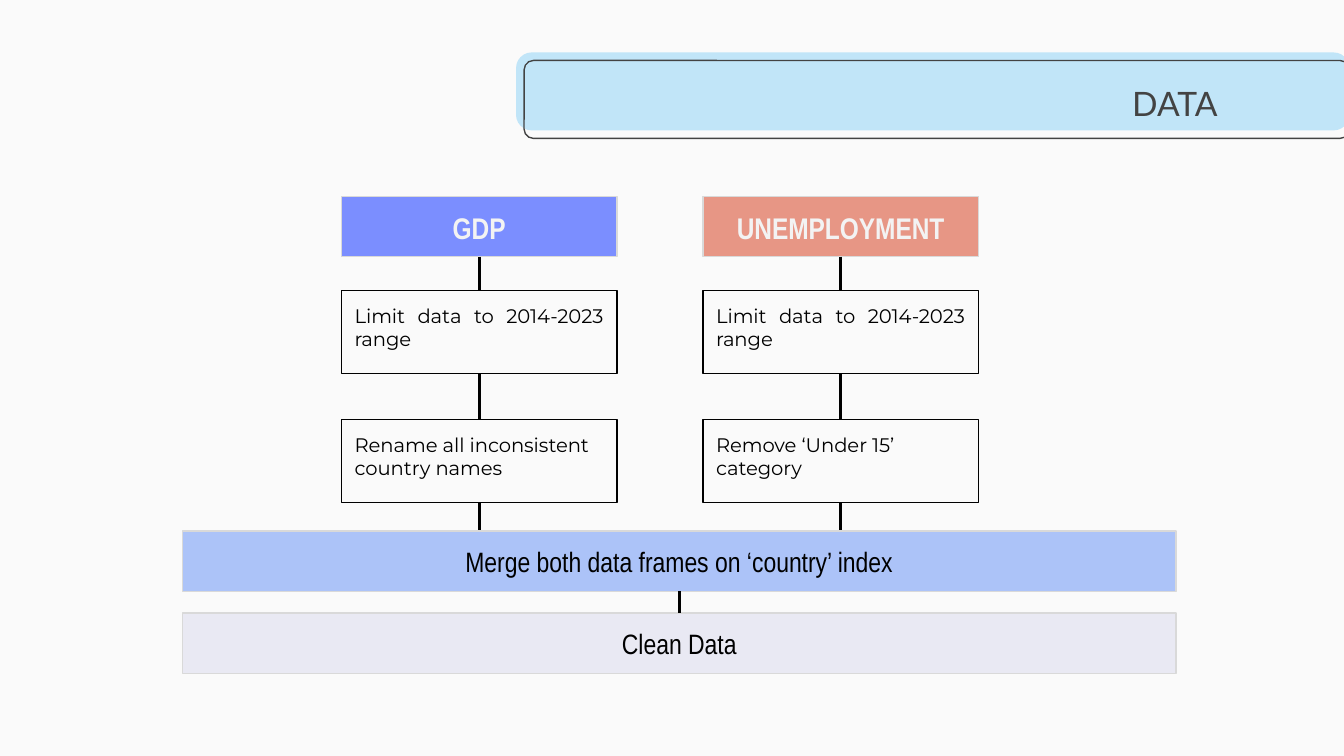
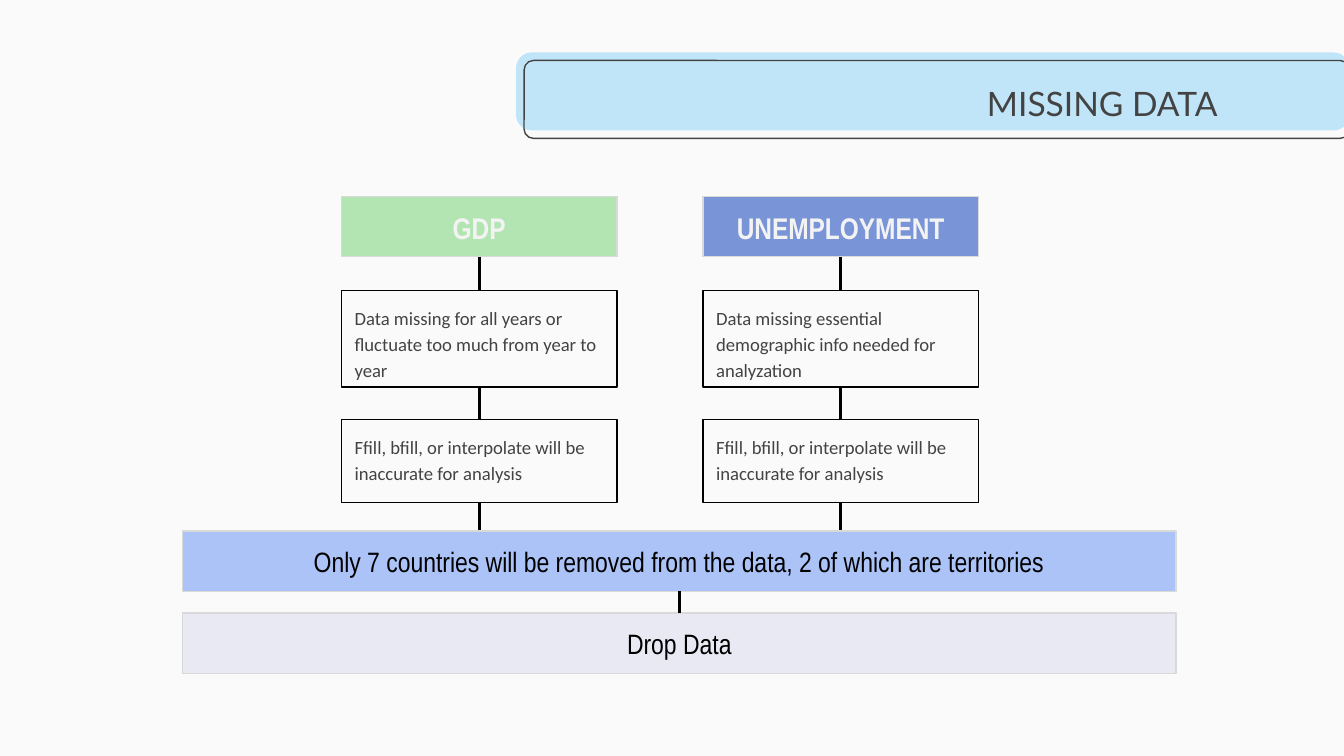
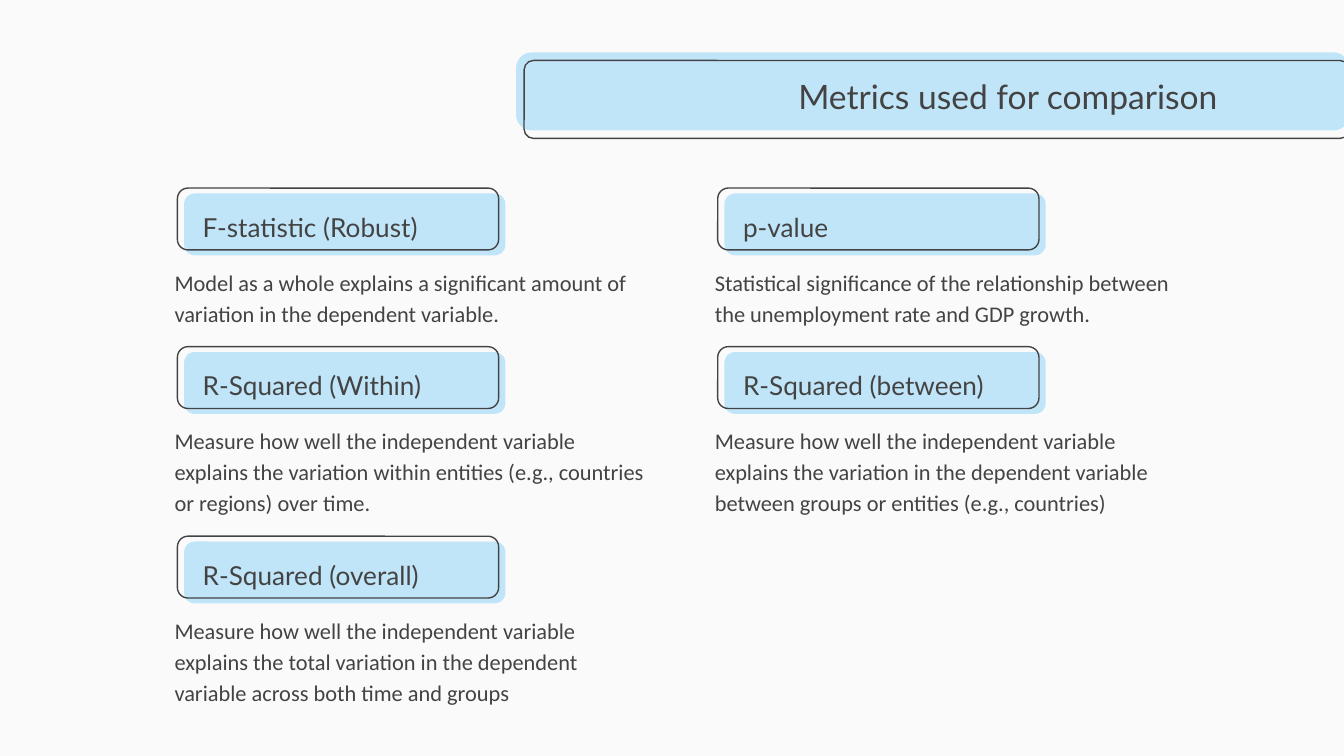
from dataclasses import dataclass

from lxml import etree
from pptx import Presentation
from pptx.dml.color import RGBColor
from pptx.enum import shapes as kinds, text as txt
from pptx.oxml import ns
from pptx.util import Inches, Pt

LEFT, CENTER = txt.PP_ALIGN.LEFT, txt.PP_ALIGN.CENTER
RIGHT, JUSTIFY = txt.PP_ALIGN.RIGHT, txt.PP_ALIGN.JUSTIFY
RECT, ROUNDED = kinds.MSO_SHAPE.RECTANGLE, kinds.MSO_SHAPE.ROUNDED_RECTANGLE


@dataclass(frozen=True)
class TextStyle:
    font: str
    size: float
    color: str
    bold: bool = False
    spacing: float = 1.0
    after: float = 0


class Theme:
    background = "FAFAFA"
    sky = "C1E5F8"
    ink = "434343"
    black = "000000"
    border = "D9D9D9"
    merge = "ACC3F8"
    result = "E9E9F3"
    thin, link = 0.75, 1.5
    title = TextStyle("Lato", 18, ink)
    card_title = TextStyle("Lato", 14, ink)
    card_body = TextStyle("Calibri", 12, ink, spacing=1.15, after=16)
    header = TextStyle("Arial Narrow", 16, "F3F3F3", bold=True)
    bar = TextStyle("Arial Narrow", 15, black)
    step = TextStyle("Montserrat", 10.5, black)
    reason = TextStyle("Calibri", 10, ink, spacing=1.15, after=16)


# Shared helpers
def rgb(value):
    return RGBColor.from_string(value)


def write(shape, content, style, align=LEFT, anchor=txt.MSO_ANCHOR.TOP):
    frame = shape.text_frame
    frame.text = content
    frame.word_wrap = True
    frame.auto_size = txt.MSO_AUTO_SIZE.NONE
    frame.vertical_anchor = anchor
    frame.margin_left = frame.margin_right = Inches(0.1)
    frame.margin_top = frame.margin_bottom = Inches(0.1)
    paragraph = frame.paragraphs[0]
    paragraph.alignment = align
    paragraph.line_spacing = style.spacing
    paragraph.space_after = Pt(style.after)
    font = paragraph.runs[0].font
    font.name, font.size, font.bold = style.font, Pt(style.size), style.bold
    font.color.rgb = rgb(style.color)


def add_panel(parts, kind, box, fill=None, line=None, radius=None):
    panel = parts.add_shape(kind, *map(Inches, box))
    panel.shadow.inherit = False
    if fill:
        panel.fill.solid()
        panel.fill.fore_color.rgb = rgb(fill)
    else:
        panel.fill.background()
    if line:
        panel.line.color.rgb = rgb(line)
        panel.line.width = Pt(Theme.thin)
    else:
        panel.line.fill.background()
    if radius:
        panel.adjustments[0] = radius
    return panel


def add_text(parts, box, content, style):
    write(parts.add_textbox(*map(Inches, box)), content, style)


def add_link(parts, x, top, bottom):
    link = parts.add_connector(kinds.MSO_CONNECTOR.STRAIGHT,
                               *map(Inches, (x, top, x, bottom)))
    link.line.color.rgb = rgb(Theme.black)
    link.line.width = Pt(Theme.link)
    etree.SubElement(link.element.spPr, ns.qn("a:effectLst"))


# Title band, moved to the layout so that every slide shows it
def add_band(slide):
    tint = add_panel(slide.shapes, ROUNDED, (3.84, 0.39, 6.2, 0.58),
                     fill=Theme.sky, radius=0.2)
    outline = add_panel(slide.shapes, ROUNDED, (3.9, 0.45, 6.14, 0.58),
                        line=Theme.ink, radius=0.12)
    layout_tree = slide.slide_layout.shapes.element
    for position, part in enumerate((tint, outline), start=2):
        layout_tree.insert(position, part.element)


def add_title(slide, content, top, width):
    title = slide.shapes.title
    title.left, title.top = Inches(9.16 - width), Inches(top)
    title.width, title.height = Inches(width), Inches(0.53)
    write(title, content, Theme.title, RIGHT, txt.MSO_ANCHOR.MIDDLE)


# Flow slides: two columns of steps that meet in two bars
def add_column(slide, box, column, first_height, style, first_align):
    left, top, width, bottom = box
    heading, color, steps = column
    parts = slide.shapes.add_group_shape().shapes
    header = add_panel(parts, RECT, (left, top, width, 0.45), color, Theme.border)
    write(header, heading, Theme.header, CENTER)

    link_top = top + 0.45
    places = ((0.7, first_height, first_align), (1.66, 0.62, LEFT))
    for content, (offset, height, align) in zip(steps, places):
        step_top = top + offset
        step = add_panel(parts, RECT, (left, step_top, width, height),
                         line=Theme.black)
        write(step, content, style, align)
        add_link(parts, left + width / 2, link_top, step_top)
        link_top = step_top + height
    add_link(parts, left + width / 2, link_top, bottom)


def add_bars(slide, box, merge, result):
    left, top, width, height = box
    result_top = top + 0.61
    for content, color, bar_top in ((merge, Theme.merge, top),
                                    (result, Theme.result, result_top)):
        bar = add_panel(slide.shapes, RECT, (left, bar_top, width, height),
                        color, Theme.border)
        write(bar, content, Theme.bar, CENTER)
    add_link(slide.shapes, left + width / 2, top + height, result_top)


def build_flow(slide, title, columns, bars, first_height, style, first_align=LEFT):
    add_title(slide, title, 0.5, 3.49)
    for left, column in zip((2.54, 5.23), columns):
        add_column(slide, (left, 1.46, 2.05, 3.95), column,
                   first_height, style, first_align)
    add_bars(slide, (1.36, 3.95, 7.39, 0.45), *bars)


# Metrics slide: heading cards with a description below each
def add_card(slide, left, top, heading, description):
    parts = slide.shapes.add_group_shape().shapes
    add_panel(parts, ROUNDED, (left + 0.05, top + 0.04, 2.39, 0.46),
              fill=Theme.sky, radius=0.17)
    add_panel(parts, ROUNDED, (left, top, 2.39, 0.46),
              line=Theme.ink, radius=0.17)
    add_text(slide.shapes, (left + 0.09, top + 0.07, 2.25, 0.4),
             heading, Theme.card_title)
    add_text(slide.shapes, (left - 0.12, top + 0.47, 3.75, 0.68),
             description, Theme.card_body)


def build_metrics(slide, title, metrics):
    add_title(slide, title, 0.45, 4.83)
    for index, (heading, description) in enumerate(metrics):
        row, column = divmod(index, 2)
        add_card(slide, (1.32, 5.34)[column], (1.4, 2.58, 3.99)[row],
                 heading, description)


# Content
DATA_COLUMNS = (
    ("GDP", "7B8EFF", ("Limit data to 2014-2023 range",
                       "Rename all inconsistent country names")),
    ("UNEMPLOYMENT", "E79685", ("Limit data to 2014-2023 range",
                                "Remove ‘Under 15’ category")),
)
INACCURATE = "Ffill, bfill, or interpolate will be inaccurate for analysis"
MISSING_COLUMNS = (
    ("GDP", "B3E5B2",
     ("Data missing for all years or fluctuate too much from year to year",
      INACCURATE)),
    ("UNEMPLOYMENT", "7995D7",
     ("Data missing essential demographic info needed for analyzation",
      INACCURATE)),
)
METRICS = (
    ("F-statistic (Robust)",
     "Model as a whole explains a significant amount of variation in the "
     "dependent variable."),
    ("p-value",
     "Statistical significance of the relationship between the unemployment "
     "rate and GDP growth."),
    ("R-Squared (Within)",
     "Measure how well the independent variable explains the variation within "
     "entities (e.g., countries or regions) over time."),
    ("R-Squared (between)",
     "Measure how well the independent variable explains the variation in the "
     "dependent variable between groups or entities (e.g., countries)"),
    ("R-Squared (overall)",
     "Measure how well the independent variable explains the total variation "
     "in the dependent variable across both time and groups"),
)


def main():
    deck = Presentation()
    deck.slide_width = Inches(10)
    deck.slide_height = deck.slide_width * 9 // 16
    backdrop = deck.slide_master.background.fill
    backdrop.solid()
    backdrop.fore_color.rgb = rgb(Theme.background)

    title_only = deck.slide_layouts[5]
    data, missing, metrics = (deck.slides.add_slide(title_only) for _ in range(3))
    add_band(data)
    build_flow(data, "DATA", DATA_COLUMNS,
               ("Merge both data frames on ‘country’ index", "Clean Data"),
               0.62, Theme.step, JUSTIFY)
    build_flow(missing, "MISSING DATA", MISSING_COLUMNS,
               ("Only 7 countries will be removed from the data, "
                "2 of which are territories", "Drop Data"),
               0.72, Theme.reason)
    build_metrics(metrics, "Metrics used for comparison", METRICS)
    deck.save("out.pptx")


if __name__ == "__main__":
    main()
